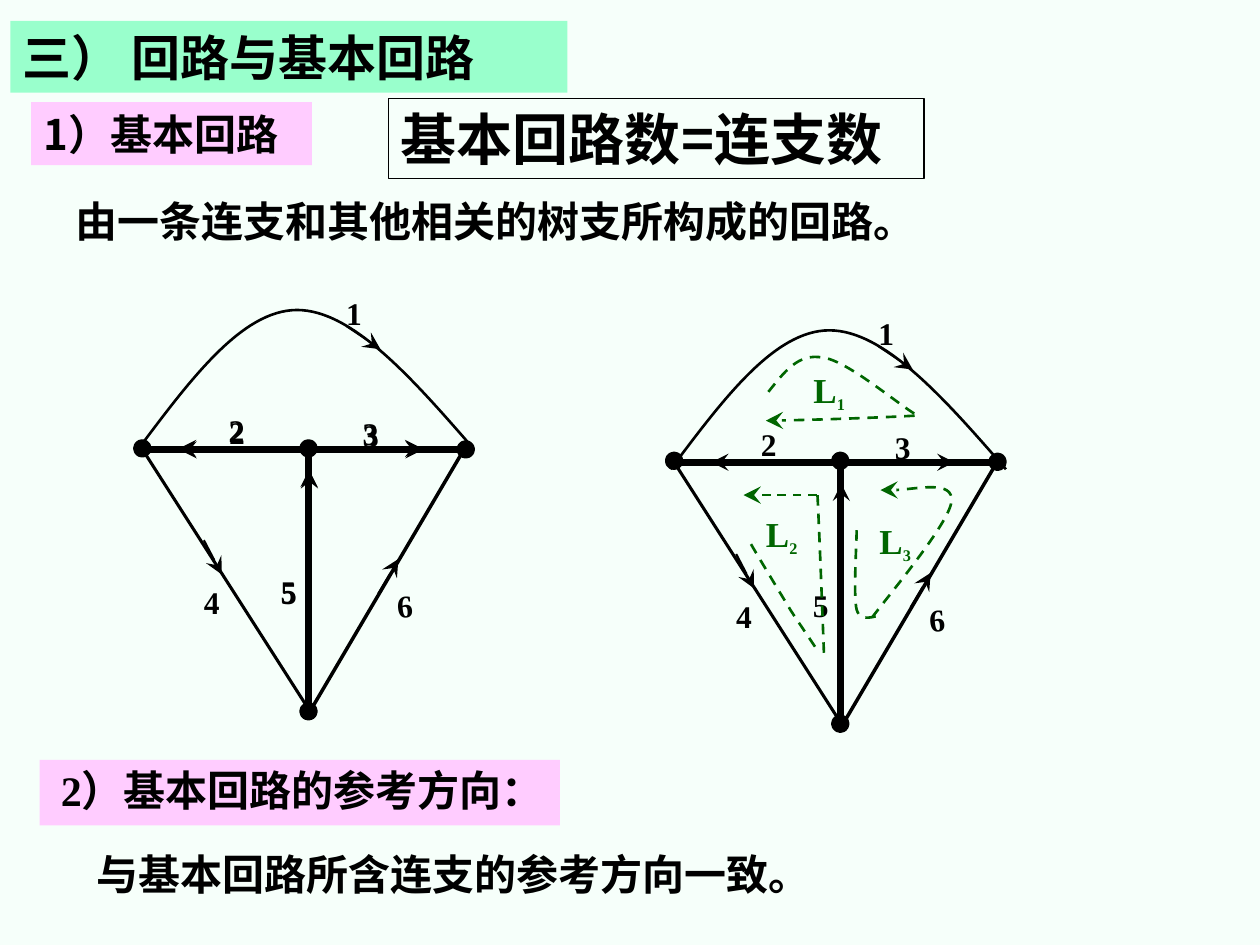
import pptx
import pptx.dml.color
import pptx.enum.dml
import pptx.enum.shapes
import pptx.enum.text
import pptx.oxml
import pptx.oxml.ns
import pptx.util
from dataclasses import dataclass
from pptx.util import Cm


@dataclass(frozen=True)
class Theme:
    paper: str = "F6FFFA"
    ink: str = "000000"
    mint: str = "99FFCC"
    pink: str = "FFCCFF"
    loop: str = "006600"
    sans: str = "Noto Sans CJK SC"
    serif: str = "Times New Roman"
    formula: int = 32
    title: int = 28
    body: int = 24
    loop_name: int = 20
    label: int = 18
    subscript: int = 16


THEME = Theme()


def rgb(color):
    return pptx.dml.color.RGBColor.from_string(color)


def write(box, text, size, font=THEME.serif, color=THEME.ink,
          insets=(0.25, 0.13, 0.25, 0.13), spacing=None):
    """Fill a box with one bold, top-left paragraph."""
    frame = box.text_frame
    frame.word_wrap = True
    frame.auto_size = pptx.enum.text.MSO_AUTO_SIZE.NONE
    frame.vertical_anchor = pptx.enum.text.MSO_ANCHOR.TOP
    (frame.margin_left, frame.margin_top,
     frame.margin_right, frame.margin_bottom) = map(Cm, insets)
    para = frame.paragraphs[0]
    para.text = text
    para.alignment = pptx.enum.text.PP_ALIGN.LEFT
    para.space_before = pptx.util.Pt(0)
    para.line_spacing = spacing
    para.font.name = font
    para.font.size = pptx.util.Pt(size)
    para.font.bold = True
    para.font.color.rgb = rgb(color)


def add_text(page, place, text, size, **style):
    box = page.shapes.add_textbox(*map(Cm, place))
    write(box, text, size, **style)
    return box


def add_panel(page, place, text, size, fill=None, **style):
    """A rectangle with text: filled, or else outlined."""
    panel = page.shapes.add_shape(
        pptx.enum.shapes.MSO_SHAPE.RECTANGLE, *map(Cm, place))
    panel.shadow.inherit = False
    if fill:
        panel.fill.solid()
        panel.fill.fore_color.rgb = rgb(fill)
        panel.line.fill.background()
    else:
        panel.fill.background()
        panel.line.color.rgb = rgb(THEME.ink)
        panel.line.width = pptx.util.Pt(0.75)
    write(panel, text, size, **style)


def style_line(line, weight, color=THEME.ink, dashed=False, arrow=False):
    line.color.rgb = rgb(color)
    line.width = pptx.util.Pt(weight)
    if dashed:
        line.dash_style = pptx.enum.dml.MSO_LINE.DASH
    if arrow:
        head = pptx.oxml.parse_xml(
            f'<a:tailEnd {pptx.oxml.ns.nsdecls("a")} type="stealth" w="lg" len="lg"/>')
        line._get_or_add_ln().append(head)


def add_line(page, start, end, weight, **style):
    line = page.shapes.add_connector(
        pptx.enum.shapes.MSO_CONNECTOR.STRAIGHT, *map(Cm, start + end))
    style_line(line.line, weight, **style)
    line._element.spPr.append(pptx.oxml.parse_xml(
        f'<a:effectLst {pptx.oxml.ns.nsdecls("a")}/>'))


def add_curve(page, points, weight=1.5, **style):
    """Draw chained cubic curves: a start, then three points for each one."""
    builder = page.shapes.build_freeform(*map(Cm, points[0]))
    builder.add_line_segments([tuple(map(Cm, p)) for p in points[1:]], close=False)
    curve = builder.convert_to_shape()
    # Every three straight segments become one cubic curve
    segments = list(curve._element.iter(pptx.oxml.ns.qn("a:lnTo")))
    for first in range(0, len(segments), 3):
        cubic = pptx.oxml.parse_xml(f'<a:cubicBezTo {pptx.oxml.ns.nsdecls("a")}/>')
        segments[first].addprevious(cubic)
        for segment in segments[first:first + 3]:
            cubic.append(segment[0])
            segment.getparent().remove(segment)
    curve.shadow.inherit = False
    curve.fill.background()
    style_line(curve.line, weight, **style)


def shift(hub, offset):
    return hub[0] + offset[0], hub[1] + offset[1]


def add_label(page, hub, offset, text):
    x, y = shift(hub, offset)
    return add_text(page, (x, y, 0.94, 1.02), text, THEME.label)


def add_tree(page, hub, bar=4, stem=3.75, arrow=1.75, ring=4):
    """Nodes and tree branches 2, 3 and 5 around the hub node."""
    for text, offset in (("3", (0.85, -0.79)), ("2", (-1.85, -0.85)), ("5", (-0.8, 2.39))):
        add_label(page, hub, offset, text)
    diameter = 0.23
    for offset in ((0, 0), (3.17, 0.02), (0, 5.3), (-3.35, 0)):
        x, y = shift(hub, offset)
        node = page.shapes.add_shape(
            pptx.enum.shapes.MSO_SHAPE.OVAL, Cm(x - diameter / 2),
            Cm(y - diameter / 2), Cm(diameter), Cm(diameter))
        node.shadow.inherit = False
        node.fill.solid()
        node.fill.fore_color.rgb = rgb(THEME.ink)
        style_line(node.line, ring)
    for start, end, weight, head in (
            ((0.98, 0.03), (2.3, 0.03), arrow, True),
            ((-3.24, 0.03), (3.21, 0.03), bar, False),
            ((0, 0.11), (0, 5.22), stem, False),
            ((-1.28, 0.03), (-2.6, 0.03), arrow, True),
            ((0.02, 1.36), (0.02, 0.46), 1.5, True)):
        add_line(page, shift(hub, start), shift(hub, end), weight, arrow=head)


def add_links(page, hub, arc_drop=0.0):
    """Link branches 1, 4 and 6 around the hub node."""
    crown = shift(hub, (0, arc_drop))
    arc = ((-3.42, 0.04), (-2.37, -1.36), (-1.33, -2.76), (-0.22, -2.76),
           (0.9, -2.76), (2.12, -1.36), (3.34, 0.04))
    add_curve(page, [shift(crown, point) for point in arc])
    add_label(page, crown, (0.52, -3.21), "1")
    add_line(page, shift(crown, (0.77, -2.43)), shift(crown, (1.46, -1.97)), 0.75, arrow=True)
    for start, end, weight, head in (
            ((-3.37, 0), (0.11, 5.44), 1.75, False),
            ((-2.1, 1.88), (-1.74, 2.57), 1.25, True),
            ((1.41, 2.95), (1.82, 2.26), 0.75, True),
            ((3.08, 0.16), (0.08, 5.26), 2, False)):
        add_line(page, shift(hub, start), shift(hub, end), weight, arrow=head)
    add_label(page, hub, (-2.35, 2.62), "4")
    add_label(page, hub, (1.54, 2.68), "6").rotation = 355.6


def add_loops(page):
    """Dashed fundamental loops and their names."""
    green = {"color": THEME.loop, "dashed": True}
    for points, head in (
            (((15.49, 7.9), (15.8, 7.52), (16.08, 7.11), (16.59, 7.21),
              (17.07, 7.26), (18.14, 8.18), (18.47, 8.36)), False),
            (((18.44, 8.38), (17.96, 8.41), (16.08, 8.48), (15.44, 8.48)), True),
            (((16.61, 13.16), (16.59, 12.62), (16.51, 10.52), (16.48, 9.98)), False),
            (((15.14, 10.97), (15.27, 11.2), (15.72, 11.94), (15.95, 12.32),
              (16.18, 12.67), (16.43, 13.03), (16.51, 13.16)), False),
            (((17.27, 10.69), (17.27, 10.95), (17.2, 12.01), (17.27, 12.29),
              (17.35, 12.57), (17.65, 12.4), (17.73, 12.42)), False),
            (((17.58, 12.45), (17.86, 12.07), (19.15, 10.54), (19.18, 10.11),
              (19.23, 9.68), (18.06, 9.93), (17.75, 9.88)), True)):
        add_curve(page, points, arrow=head, **green)
    add_line(page, (16.46, 9.98), (14.99, 9.98), 1.25, arrow=True, **green)
    for number, (x, y) in enumerate(((16.15, 7.29), (15.19, 10.21), (17.48, 10.34)), 1):
        box = add_text(page, (x, y, 1.4, 1.17), "L", THEME.loop_name, color=THEME.loop)
        span = box.text_frame.paragraphs[0].add_run()
        span.text = str(number)
        span.font.size = pptx.util.Pt(THEME.subscript)
        span.font._element.set("baseline", "-25000")


def main():
    deck = pptx.Presentation()
    deck.slide_width, deck.slide_height = Cm(25.4), Cm(19.05)
    page = deck.slides.add_slide(deck.slide_layouts[5])
    page.background.fill.solid()
    page.background.fill.fore_color.rgb = rgb(THEME.paper)

    # Title
    title = page.shapes.title
    title.left, title.top, title.width, title.height = map(Cm, (0.21, 0.42, 11.23, 1.45))
    title.fill.solid()
    title.fill.fore_color.rgb = rgb(THEME.mint)
    write(title, "三） 回路与基本回路", THEME.title, font=THEME.sans)

    # Headings and statements
    add_panel(page, (0.63, 2.06, 5.66, 1.27), "1）基本回路", THEME.body,
              fill=THEME.pink, font=THEME.sans)
    add_text(page, (1.27, 3.81, 17.78, 1.27),
             "由一条连支和其他相关的树支所构成的回路。", THEME.body)
    add_panel(page, (0.8, 15.32, 10.49, 1.32), "2）基本回路的参考方向：", THEME.body,
              fill=THEME.pink, insets=(0.43, 0.2, 0, 0.2), spacing=0.9)
    add_panel(page, (7.83, 1.98, 10.8, 1.62), "基本回路数=连支数", THEME.formula,
              font=THEME.sans)
    add_text(page, (1.7, 17.09, 15.42, 1.17),
             "与基本回路所含连支的参考方向一致。", THEME.body, spacing=0.9)

    # Right graph with its loops
    right_hub = (16.94, 9.29)
    add_links(page, right_hub, arc_drop=0.13)
    add_tree(page, right_hub)
    add_loops(page)

    # Left graph: thin branches with the tree emphasised on top
    left_hub = (6.21, 9.01)
    add_links(page, left_hub)
    add_tree(page, left_hub, bar=1.5, stem=1.5, arrow=1.5, ring=1.5)
    add_tree(page, shift(left_hub, (0.01, 0.03)))

    deck.save("out.pptx")


if __name__ == "__main__":
    main()
